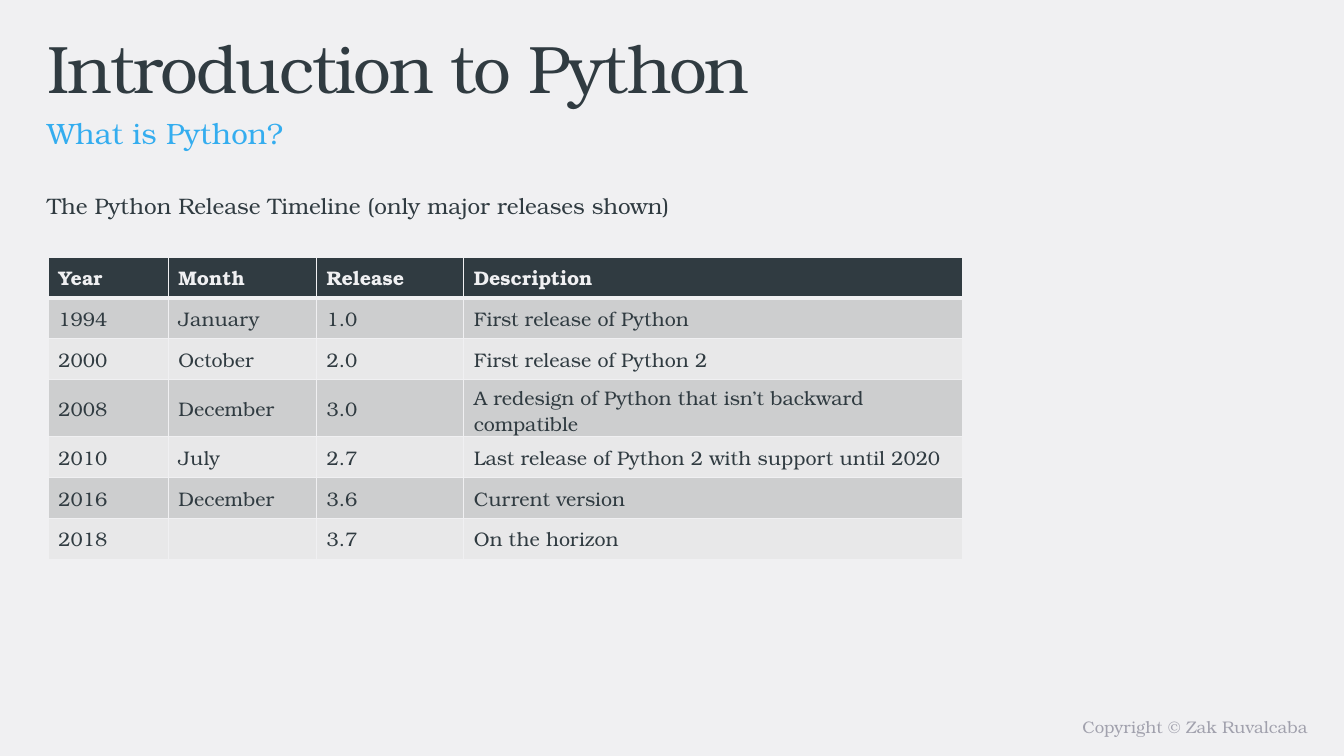
from lxml import etree
from pptx import Presentation
from pptx.dml.color import RGBColor
from pptx.enum import text
from pptx.oxml import ns
from pptx.util import Inches, Pt

FONT = "TeX Gyre Bonum"
PAPER = RGBColor(0xF0, 0xF0, 0xF2)
INK = RGBColor(0x30, 0x3B, 0x41)
BLUE = RGBColor(0x34, 0xAD, 0xEF)
GREY = RGBColor(0xA1, 0xA1, 0xAD)
BANDS = (RGBColor(0xCD, 0xCE, 0xCF), RGBColor(0xE8, 0xE8, 0xE9))

COLUMN_WIDTHS = (1.19, 1.47, 1.46, 4.95)
RELEASES = (
    ("Year", "Month", "Release", "Description"),
    ("1994", "January", "1.0", "First release of Python"),
    ("2000", "October", "2.0", "First release of Python 2"),
    ("2008", "December", "3.0",
     "A redesign of Python that isn’t backward compatible"),
    ("2010", "July", "2.7", "Last release of Python 2 with support until 2020"),
    ("2016", "December", "3.6", "Current version"),
    ("2018", "", "3.7", "On the horizon"),
)


def style_runs(p, size, color, bold=False):
    for r in p.runs:
        r.font.name = FONT
        r.font.size = Pt(size)
        r.font.bold = bold
        r.font.color.rgb = color


def add_text(s, box, words, size, color, line_spacing=None,
             align=text.PP_ALIGN.LEFT, tracking=None):
    tf = s.shapes.add_textbox(*map(Inches, box)).text_frame
    tf.word_wrap = True
    tf.text = words
    p = tf.paragraphs[0]
    p.alignment = align
    if line_spacing:
        p.line_spacing = line_spacing
    style_runs(p, size, color)
    if tracking:
        for r in p.runs:
            r.font._element.set("spc", str(int(tracking * 100)))


def add_border(cell, side, width):
    tc_pr = cell._tc.get_or_add_tcPr()
    ln = etree.SubElement(tc_pr, ns.qn(f"a:ln{side}"), w=str(Pt(width)))
    fill = etree.SubElement(ln, ns.qn("a:solidFill"))
    etree.SubElement(fill, ns.qn("a:srgbClr"), val=str(PAPER))


def style_cell(cell, row):
    header = row == 0
    cell.vertical_anchor = text.MSO_ANCHOR.MIDDLE
    # The rule under the header is shared by the first two rows
    widths = {"L": 1, "R": 1, "T": 3 if row == 1 else 1, "B": 3 if header else 1}
    for side, width in widths.items():
        add_border(cell, side, width)
    cell.fill.solid()
    cell.fill.fore_color.rgb = INK if header else BANDS[(row - 1) % 2]
    style_runs(cell.text_frame.paragraphs[0], 14, PAPER if header else INK, header)


def add_release_table(s, box):
    table = s.shapes.add_table(len(RELEASES), len(COLUMN_WIDTHS),
                               *map(Inches, box)).table
    for column, width in zip(table.columns, COLUMN_WIDTHS):
        column.width = Inches(width)
    for row, values in enumerate(RELEASES):
        for col, value in enumerate(values):
            cell = table.cell(row, col)
            cell.text = value
            style_cell(cell, row)


def main():
    prs = Presentation()
    prs.slide_width = Inches(13.33)
    prs.slide_height = Inches(7.5)
    s = prs.slides.add_slide(prs.slide_layouts[6])
    s.background.fill.solid()
    s.background.fill.fore_color.rgb = PAPER

    # Footer
    add_text(s, (6.67, 7.06, 6.4, 0.31), "Copyright © Zak Ruvalcaba", 12, GREY,
             align=text.PP_ALIGN.RIGHT)

    # Headings
    add_text(s, (0.37, 0.21, 11.76, 0.79), "Introduction to Python", 48, INK,
             tracking=-1.5)
    add_text(s, (0.37, 0.99, 11.76, 0.39), "What is Python?", 21, BLUE, 1.3)

    # Release timeline
    add_text(s, (0.37, 1.78, 11.01, 5.12),
             "The Python Release Timeline (only major releases shown)", 16, INK, 1.3)
    add_release_table(s, (0.48, 2.55, sum(COLUMN_WIDTHS), 2.84))

    prs.save("out.pptx")


if __name__ == "__main__":
    main()
